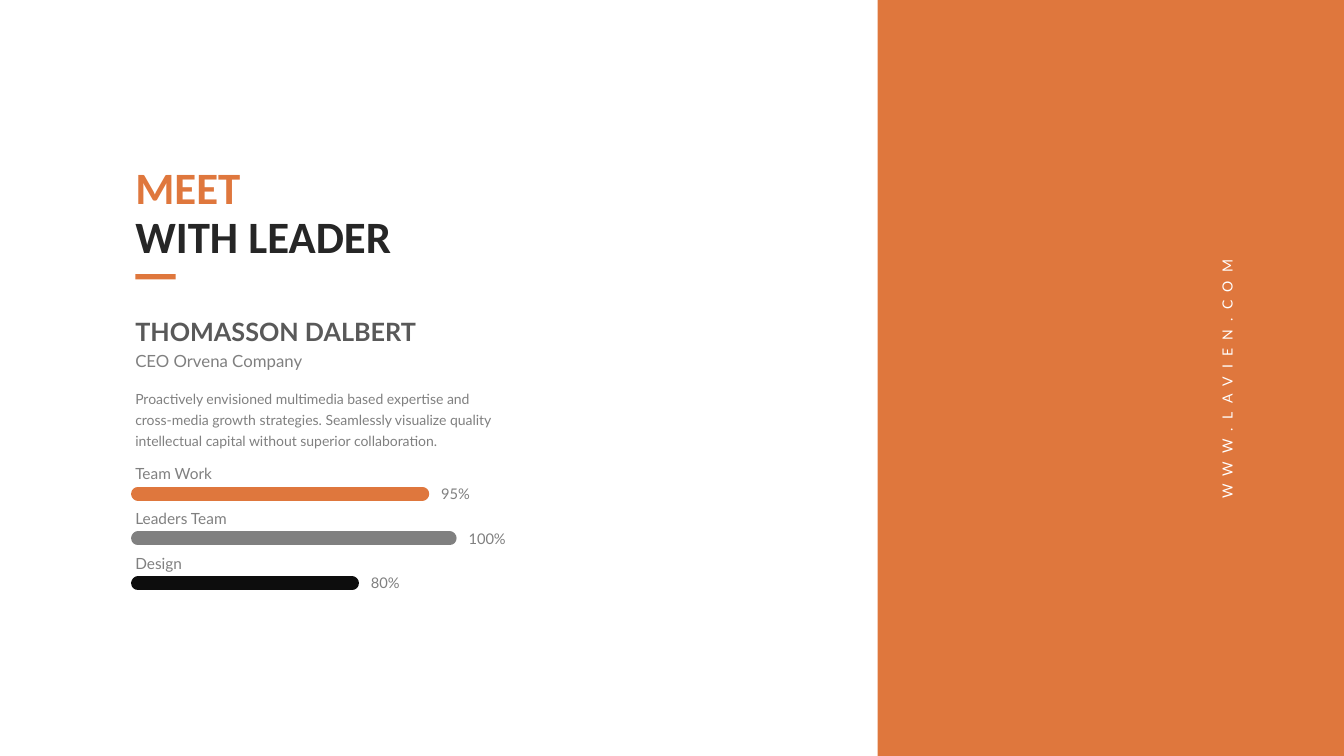
from dataclasses import dataclass

from lxml.etree import SubElement
from pptx import Presentation
from pptx.dml.color import RGBColor
from pptx.enum.shapes import MSO_CONNECTOR as Connector, MSO_SHAPE as Preset
from pptx.enum.text import MSO_ANCHOR as Anchor, MSO_AUTO_SIZE as AutoSize
from pptx.oxml.ns import qn
from pptx.slide import Slide
from pptx.util import Cm, Pt

ORANGE, GRAY, BLACK = "DF773D", "808080", "0D0D0D"
LEFT = 3.41
FIRST_SKILL_TOP, SKILL_STEP = 11.7, 1.13
BAR_LEFT, BAR_DROP = 3.48, 0.74
PERCENT_GAP, PERCENT_DROP = 0.48, 0.51


@dataclass(frozen=True)
class Line:
    text: str
    size: float
    color: str = GRAY
    font: str = "Lato"
    bold: bool = False
    tracking: int = 0


@dataclass(frozen=True)
class Block:
    left: float
    top: float
    width: float
    height: float
    lines: tuple[Line, ...]
    leading: float | None = None
    anchor: Anchor = Anchor.TOP
    rotation: float = 0


@dataclass(frozen=True)
class Skill:
    name: str
    percent: str
    bar_right: float
    color: str


BLOCKS = (
    Block(27.79, 9.22, 6.27, 0.43, (Line("WWW.LAVIEN.COM", 10, "FFFFFF", tracking=600),), rotation=270),
    Block(LEFT, 4.14, 7.95, 2.49,
          (Line("MEET", 32, ORANGE, "Calibri", True),
           Line("WITH LEADER", 32, "262626", "Calibri", True)),
          leading=35, anchor=Anchor.MIDDLE),
    Block(LEFT, 7.98, 7.39, 0.76, (Line("THOMASSON DALBERT", 18, "595959", bold=True),)),
    Block(LEFT, 8.84, 7.39, 0.51, (Line("CEO Orvena Company", 12),)),
    Block(LEFT, 9.73, 9.42, 1.55,
          (Line("Proactively envisioned multimedia based expertise and cross-media growth "
                "strategies. Seamlessly visualize quality intellectual capital without "
                "superior collaboration.", 10),),
          leading=15),
)

SKILLS = (
    Skill("Team Work", "95%", 10.64, ORANGE),
    Skill("Leaders Team", "100%", 11.33, GRAY),
    Skill("Design", "80%", 8.87, BLACK),
)


def rgb(color: str) -> RGBColor:
    return RGBColor.from_string(color)


def apply(target: object, values: dict[str, object]) -> None:
    for name, value in values.items():
        setattr(target, name, value)


def add_block(slide: Slide, block: Block) -> None:
    box = slide.shapes.add_textbox(Cm(block.left), Cm(block.top), Cm(block.width), Cm(block.height))
    box.rotation = block.rotation
    frame = box.text_frame
    apply(frame, {
        "margin_left": 0, "margin_top": 0, "margin_right": 0, "margin_bottom": 0,
        "word_wrap": True, "auto_size": AutoSize.SHAPE_TO_FIT_TEXT,
        "vertical_anchor": block.anchor,
    })
    for index, line in enumerate(block.lines):
        paragraph = frame.add_paragraph() if index else frame.paragraphs[0]
        if block.leading:
            paragraph.line_spacing = Pt(block.leading)
        run = paragraph.add_run()
        run.text = line.text
        apply(run.font, {"name": line.font, "size": Pt(line.size), "bold": line.bold})
        run.font.color.rgb = rgb(line.color)
        if line.tracking:
            run._r.get_or_add_rPr().set("spc", str(line.tracking))


def add_rectangle(slide: Slide, left: float, top: float, width: float, height: float) -> None:
    rectangle = slide.shapes.add_shape(Preset.RECTANGLE, Cm(left), Cm(top), Cm(width), Cm(height))
    rectangle.shadow.inherit = False
    rectangle.fill.solid()
    rectangle.fill.fore_color.rgb = rgb(ORANGE)
    rectangle.line.fill.background()


def add_bar(slide: Slide, right: float, middle: float, color: str) -> None:
    bar = slide.shapes.add_connector(Connector.STRAIGHT, Cm(right), Cm(middle), Cm(BAR_LEFT), Cm(middle))
    bar.line.width = Pt(10)
    bar.line.color.rgb = rgb(color)
    bar.line._get_or_add_ln().set("cap", "rnd")
    SubElement(bar._element.spPr, qn("a:effectLst"))


def add_skill(slide: Slide, skill: Skill, top: float) -> None:
    add_block(slide, Block(LEFT, top, 4.6, 0.48, (Line(skill.name, 11),)))
    add_bar(slide, skill.bar_right, top + BAR_DROP, skill.color)
    add_block(slide, Block(skill.bar_right + PERCENT_GAP, top + PERCENT_DROP, 1.07, 0.46,
                           (Line(skill.percent, 10.5),)))


def main() -> None:
    deck = Presentation()
    apply(deck, {"slide_width": Cm(33.87), "slide_height": Cm(19.05)})
    slide = deck.slides.add_slide(deck.slide_layouts[6])
    add_rectangle(slide, 22.12, 0, 11.75, 19.05)
    add_rectangle(slide, LEFT, 6.91, 1.02, 0.13)
    for block in BLOCKS:
        add_block(slide, block)
    for index, skill in enumerate(SKILLS):
        add_skill(slide, skill, FIRST_SKILL_TOP + index * SKILL_STEP)
    deck.save("out.pptx")


if __name__ == "__main__":
    main()
